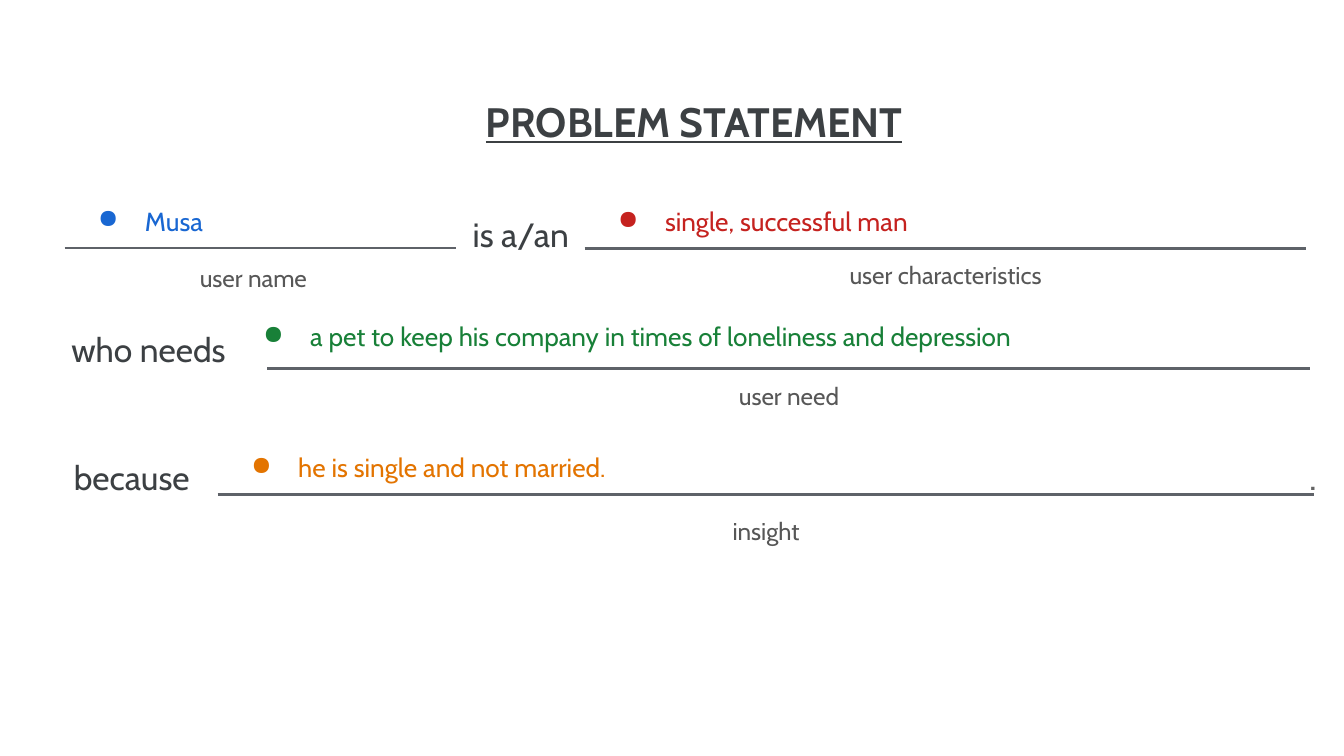
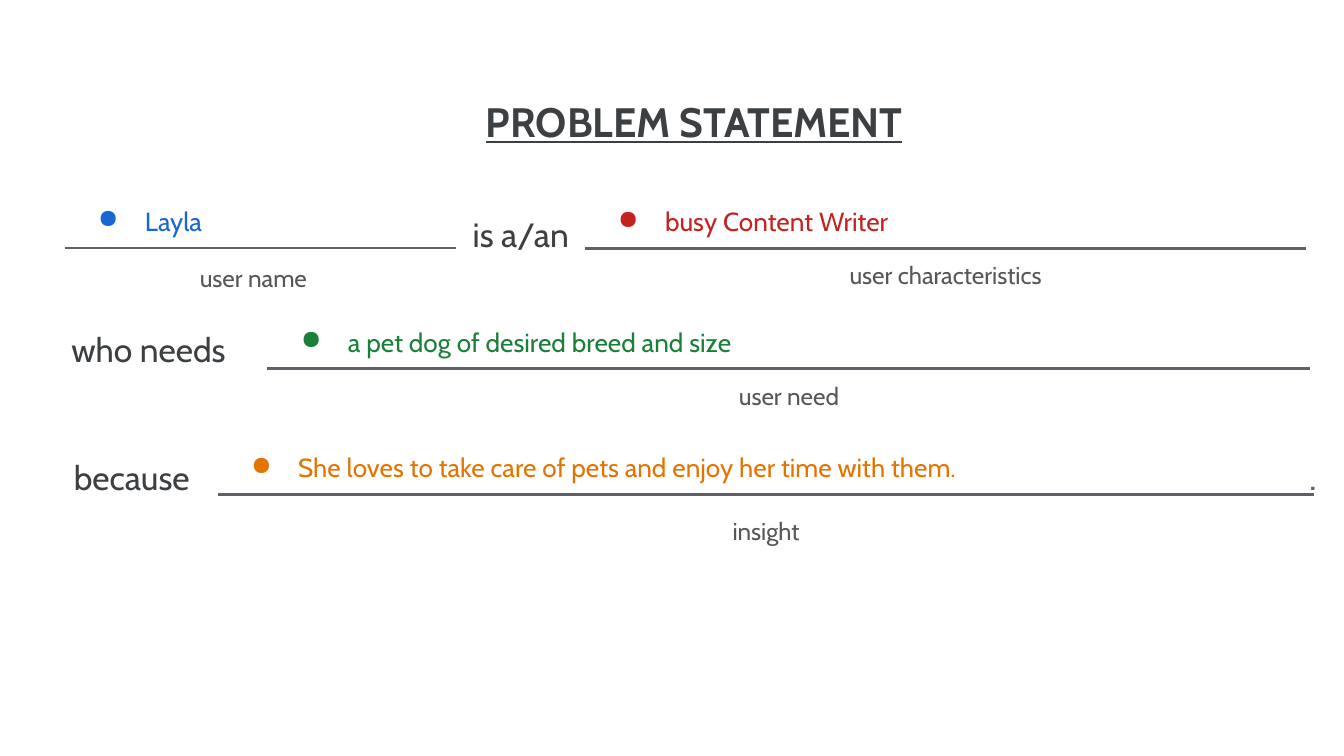
from dataclasses import dataclass

from lxml.etree import SubElement
from pptx import Presentation
from pptx.dml.color import RGBColor
from pptx.enum.shapes import MSO_CONNECTOR as Connector
from pptx.enum.text import MSO_ANCHOR as Anchor, MSO_AUTO_SIZE as AutoSize, PP_ALIGN as Align
from pptx.oxml.ns import qn
from pptx.util import Inches, Pt

# The grid has 100 columns and 56.25 rows of square cells.
CELL = 0.1
COLUMNS, ROWS = 100, 56.25
COLORS = {
    "white": "FFFFFF", "heading": "3C4043", "caption": "575757",
    "rule": "5E6268", "stop": "646464", "blue": "1967D2",
    "red": "C5221F", "green": "188038", "orange": "E37400",
}


@dataclass
class Blank:
    """A line to fill in, with its caption below and its answer above."""
    caption: str
    color: str
    left: float
    right: float
    row: float
    caption_row: float
    caption_shift: float = 0


BLANKS = [
    Blank("user name", "blue", 4.8, 33.9, 18.45, 18.6, -0.5),
    Blank("user characteristics", "red", 43.5, 97.2, 18.5, 18.4),
    Blank("user need", "green", 19.9, 97.5, 27.45, 27.4),
    Blank("insight", "orange", 16.2, 97.8, 36.8, 37.4),
]
# Text, left, top, width, height, inset
CONNECTING_WORDS = [
    ("is a/an", 34, 15.4, 9.5, 4, 0.5),
    ("who needs", 0.9, 23.5, 20.3, 6.3, 1),
    ("because", 0.9, 33, 17.8, 5.4, 1),
]
ANSWER_HEIGHT = 4.2
# Each answer is a text and its shift from the usual place, in columns and rows.
STATEMENTS = [
    [("Musa", 0, 0),
     ("single, successful man", 0, 0),
     ("a pet to keep his company in times of loneliness and depression", -2.8, -0.4),
     ("he is single and not married.", 0, 0)],
    [("Layla", 0, 0),
     ("busy Content Writer", 0, 0),
     ("a pet dog of desired breed and size", 0, 0),
     ("She loves to take care of pets and enjoy her time with them.", 0, 0)],
]


def cells(count):
    return Inches(count * CELL)


def color(name):
    return RGBColor.from_string(COLORS[name])


class StatementDeck:
    font = "Cabin"

    def __init__(self):
        self.deck = Presentation()
        self.deck.slide_width, self.deck.slide_height = cells(COLUMNS), cells(ROWS)
        self.slide = None

    def new_slide(self):
        self.slide = self.deck.slides.add_slide(self.deck.slide_layouts[5])

    def fill_text(self, box, text, size, color_name, align=Align.CENTER, inset=1):
        frame = box.text_frame
        frame.word_wrap = True
        frame.auto_size = AutoSize.NONE
        frame.vertical_anchor = Anchor.TOP
        frame.margin_left = frame.margin_right = cells(inset)
        frame.margin_top = frame.margin_bottom = cells(inset)
        frame.text = text
        para = frame.paragraphs[0]
        para.alignment = align
        para.font.name, para.font.size = self.font, Pt(size)
        para.font.color.rgb = color(color_name)
        return para

    def title(self, text):
        box = self.slide.shapes.title
        box.left, box.top, box.width, box.height = map(cells, (4.3, 6.2, 94.7, 5.4))
        box.fill.solid()
        box.fill.fore_color.rgb = color("white")
        para = self.fill_text(box, text, 22, "heading")
        para.font.bold = para.font.underline = True

    def text(self, text, left, top, width, height, size, color_name, **style):
        box = self.slide.shapes.add_textbox(*map(cells, (left, top, width, height)))
        return self.fill_text(box, text, size, color_name, **style)

    def rule(self, left, right, row):
        line = self.slide.shapes.add_connector(
            Connector.STRAIGHT, *map(cells, (left, row, right, row)))
        line.line.color.rgb = color("rule")
        line.line.width = Pt(1.5)
        SubElement(line.element.spPr, qn("a:effectLst"))

    def bullet(self, para, color_name):
        properties = para._p.get_or_add_pPr()
        properties.set("marL", str(Inches(0.5)))
        properties.set("indent", str(-Inches(0.35)))
        bullet_color = SubElement(properties, qn("a:buClr"))
        SubElement(bullet_color, qn("a:srgbClr"), val=COLORS[color_name])
        SubElement(properties, qn("a:buChar"), char="●")
        # The schema puts bullet settings ahead of the paragraph's font.
        properties.append(properties.find(qn("a:defRPr")))

    def blank(self, blank, answer, column_shift, row_shift):
        width = blank.right - blank.left
        self.text(blank.caption, blank.left + blank.caption_shift, blank.caption_row,
                  width, 4, 13, "caption")
        self.rule(blank.left, blank.right, blank.row)
        para = self.text(answer, blank.left + column_shift,
                         blank.row - ANSWER_HEIGHT + row_shift,
                         width - column_shift, ANSWER_HEIGHT, 14, blank.color,
                         align=Align.LEFT)
        self.bullet(para, blank.color)

    def statement(self, answers):
        self.new_slide()
        self.title("PROBLEM STATEMENT")
        for text, left, top, width, height, inset in CONNECTING_WORDS:
            self.text(text, left, top, width, height, 18, "heading", inset=inset)
        for blank, answer in zip(BLANKS, answers):
            self.blank(blank, *answer)
        self.text(".", 96.9, 33.2, 3.1, 4.3, 20, "stop", align=Align.LEFT, inset=0.5)


def main():
    statements = StatementDeck()
    for answers in STATEMENTS:
        statements.statement(answers)
    statements.deck.save("out.pptx")


if __name__ == "__main__":
    main()
